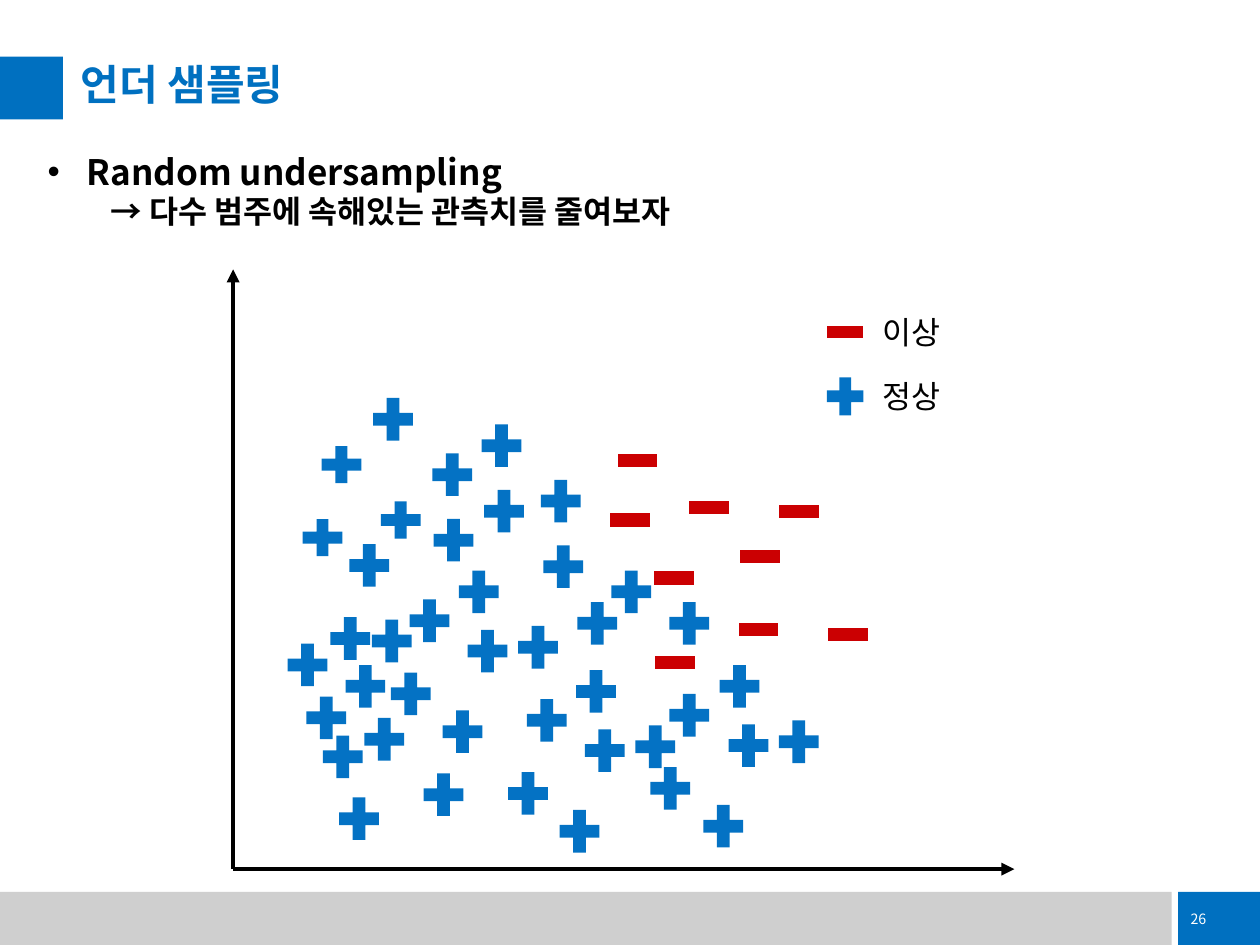
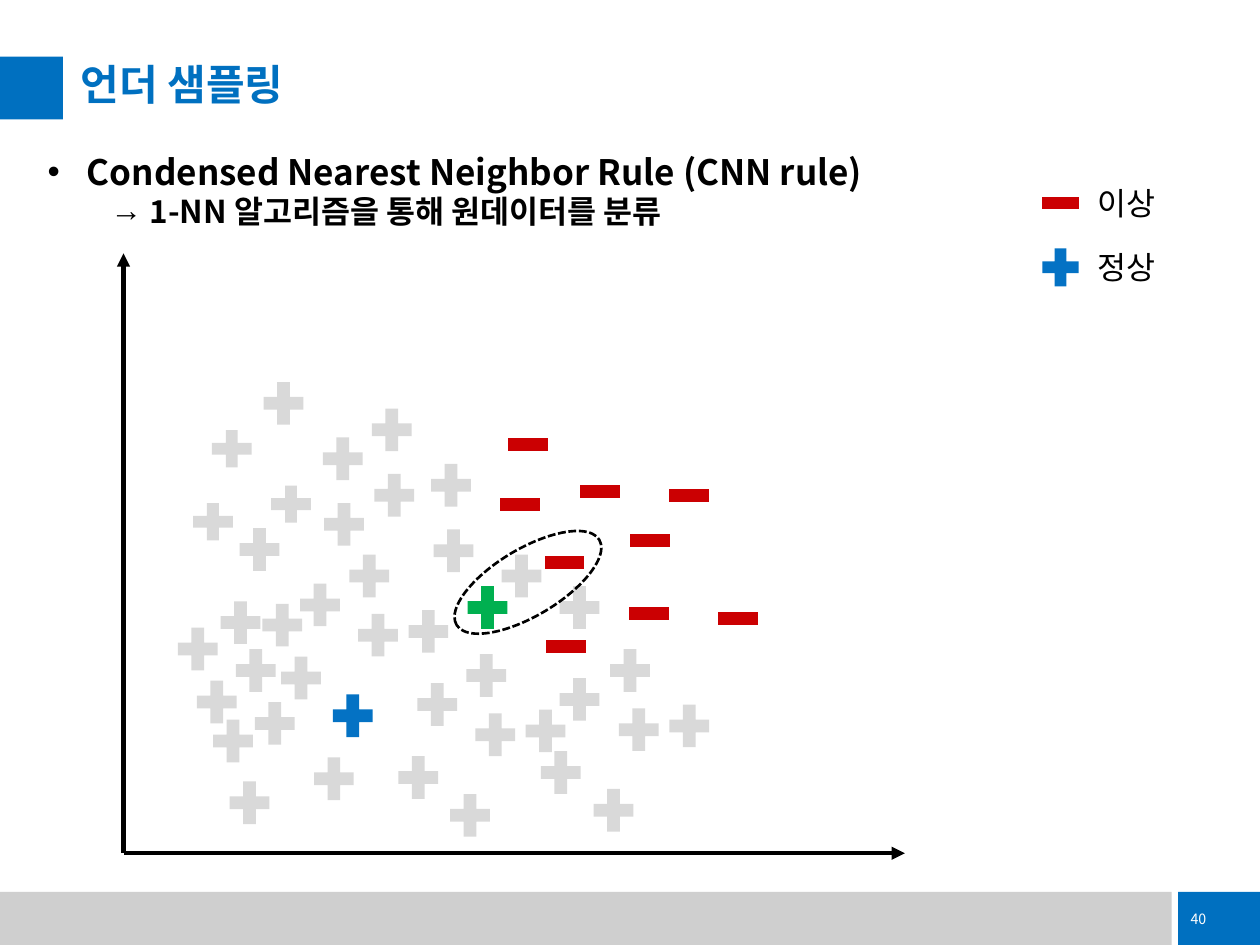
"""Build two slides that explain undersampling with a scatter of two classes."""
import dataclasses

import lxml.etree
import pptx
import pptx.dml.color
import pptx.enum.dml
import pptx.enum.shapes
import pptx.enum.text
import pptx.oxml.ns
import pptx.util

Cm = pptx.util.Cm
Shape = pptx.enum.shapes.MSO_SHAPE
Anchor = pptx.enum.text.MSO_ANCHOR
qn = pptx.oxml.ns.qn


@dataclasses.dataclass(frozen=True)
class Theme:
    """Colours, font and type sizes of the deck."""
    font: str = "Noto Sans CJK KR"
    accent: str = "0070C0"
    band: str = "CFCFCF"
    white: str = "FFFFFF"
    ink: str = "000000"
    normal: str = "0472C4"
    abnormal: str = "CB0002"
    faded: str = "D9D9D9"
    chosen: str = "00B050"
    title_size: float = 24
    heading_size: float = 20
    body_size: float = 18
    page_size: float = 8.1


THEME = Theme()
PLOT_UNIT = 2.54
AXIS_HEIGHT, AXIS_WIDTH = 12.09, 15.75
MARKER_WIDTH, PLUS_HEIGHT, SHORT_PLUS_HEIGHT, MINUS_HEIGHT = 1.09, 1.17, 1.02, 1.12

START_POINT = (1.82, 1.09)
BORDER_POINT = (2.89, 1.95)
NORMAL_POINTS = [
    (1.27, 3.57), (1.74, 3.13), (2.13, 3.36), (2.60, 2.92), (1.08, 2.41), (1.75, 2.61),
    (1.56, 1.97), (2.15, 2.84), (1.95, 2.20), (2.62, 2.40), (2.42, 1.76), (2.02, 1.73),
    START_POINT, (0.93, 1.83), (0.74, 1.20), (1.41, 1.39), (2.49, 1.18), (2.88, 1.41),
    (3.35, 0.97), (2.95, 0.94), (2.75, 0.30), (2.34, 0.60), (1.20, 1.03), (1.00, 0.40),
    (1.67, 0.59), (0.87, 0.89), (0.59, 1.62), (1.26, 1.81), (1.05, 1.45), (3.62, 1.22),
    (4.02, 1.45), (4.49, 1.01), (4.09, 0.98), (3.89, 0.34), (3.47, 0.64), BORDER_POINT,
    (3.16, 2.20), (3.62, 1.95),
]
SHORT_NORMAL_POINTS = [(0.86, 3.21), (1.33, 2.77), (0.71, 2.63)]
ABNORMAL_POINTS = [
    (3.15, 2.77), (4.18, 2.48), (3.50, 2.31), (3.51, 1.64), (4.88, 1.86),
    (4.17, 1.90), (4.49, 2.84), (3.78, 2.87), (3.21, 3.24),
]


def rgb(code):
    """Return the colour object for a hex code."""
    return pptx.dml.color.RGBColor.from_string(code)


def style_runs(paragraph, size, color, bold=False):
    """Format every run of a paragraph for Latin and Korean text."""
    for run in paragraph.runs:
        run.font.name = THEME.font
        run.font.size = pptx.util.Pt(size)
        run.font.bold = bold
        run.font.color.rgb = rgb(color)
        east_asian = lxml.etree.SubElement(run.font._element, qn("a:ea"))
        east_asian.set("typeface", THEME.font)


def add_solid(slide, kind, left, top, width, height, color):
    """Add a filled preset shape without outline."""
    solid = slide.shapes.add_shape(kind, Cm(left), Cm(top), Cm(width), Cm(height))
    solid.shadow.inherit = False
    solid.fill.solid()
    solid.fill.fore_color.rgb = rgb(color)
    solid.line.fill.background()
    return solid


def add_frame(slide, title, page):
    """Add the title, its accent square, the bottom band and the page badge."""
    add_solid(slide, Shape.RECTANGLE, 0, 17.98, 23.62, 1.07, THEME.band)
    badge = add_solid(slide, Shape.RECTANGLE, 23.75, 17.98, 1.65, 1.07, THEME.accent)
    badge.text_frame.text = str(page)
    badge.text_frame.vertical_anchor = Anchor.MIDDLE
    number = badge.text_frame.paragraphs[0]
    number.alignment = pptx.enum.text.PP_ALIGN.LEFT
    style_runs(number, THEME.page_size, THEME.white)
    add_solid(slide, Shape.RECTANGLE, 0, 1.14, 1.27, 1.27, THEME.accent)

    heading = slide.shapes.title
    heading.left, heading.top, heading.width, heading.height = map(Cm, (1.63, 1.3, 22.89, 0.97))
    frame = heading.text_frame
    frame.text = title
    frame.margin_left = frame.margin_right = frame.margin_top = frame.margin_bottom = 0
    frame.vertical_anchor = Anchor.TOP
    frame.auto_size = pptx.enum.text.MSO_AUTO_SIZE.NONE
    line = frame.paragraphs[0]
    line.alignment = pptx.enum.text.PP_ALIGN.LEFT
    line.line_spacing = 0.9
    style_runs(line, THEME.title_size, THEME.accent, bold=True)


def add_text(slide, left, top, width, height):
    """Add an empty wrapping text box and return its frame."""
    frame = slide.shapes.add_textbox(Cm(left), Cm(top), Cm(width), Cm(height)).text_frame
    frame.word_wrap = True
    return frame


def indent(paragraph, margin, hanging=0, bullet=None):
    """Set the left margin, the hanging indent and an optional bullet."""
    properties = paragraph._p.get_or_add_pPr()
    properties.set("marL", str(Cm(margin)))
    properties.set("indent", str(-Cm(hanging)))
    if bullet:
        lxml.etree.SubElement(properties, qn("a:buFont")).set("typeface", "Arial")
        lxml.etree.SubElement(properties, qn("a:buChar")).set("char", bullet)


def add_method(slide, name, summary, width, arrow_bullet=None):
    """Add the method name with its one-line summary below."""
    frame = add_text(slide, 0.71, 2.9, width, 1.88)
    frame.text = name
    method = frame.paragraphs[0]
    indent(method, 0.79, 0.79, "•")
    style_runs(method, THEME.heading_size, THEME.ink, bold=True)
    explanation = frame.add_paragraph()
    explanation.text = summary
    explanation.level = 1
    if arrow_bullet:
        indent(explanation, 2.06, 0.79, arrow_bullet)
    else:
        indent(explanation, 1.27)
    style_runs(explanation, THEME.body_size, THEME.ink, bold=True)


def add_axis(slide, origin, end):
    """Add an axis with an arrowhead at its end."""
    axis = slide.shapes.add_connector(
        pptx.enum.shapes.MSO_CONNECTOR.STRAIGHT, *map(Cm, origin + end))
    axis.line.color.rgb = rgb(THEME.ink)
    axis.line.width = pptx.util.Pt(2.5)
    arrowhead = lxml.etree.SubElement(axis.line._get_or_add_ln(), qn("a:tailEnd"))
    arrowhead.set("type", "triangle")
    lxml.etree.SubElement(axis._element.spPr, qn("a:effectLst"))


def corner(origin, point, width, height):
    """Return the top left corner of an item centred on a plot point."""
    return (origin[0] + point[0] * PLOT_UNIT - width / 2,
            origin[1] - point[1] * PLOT_UNIT - height / 2)


def add_scatter(slide, origin, normal_color, highlights):
    """Add both axes and the markers of the two classes."""
    add_axis(slide, origin, (origin[0], origin[1] - AXIS_HEIGHT))
    add_axis(slide, origin, (origin[0] + AXIS_WIDTH, origin[1]))
    groups = [
        (NORMAL_POINTS, Shape.MATH_PLUS, PLUS_HEIGHT, normal_color),
        (SHORT_NORMAL_POINTS, Shape.MATH_PLUS, SHORT_PLUS_HEIGHT, normal_color),
        (ABNORMAL_POINTS, Shape.MATH_MINUS, MINUS_HEIGHT, THEME.abnormal),
    ]
    for points, sign, height, color in groups:
        for point in points:
            left, top = corner(origin, point, MARKER_WIDTH, height)
            add_solid(slide, sign, left, top, MARKER_WIDTH, height,
                      highlights.get(point, color))


def add_legend(slide, left, top):
    """Add the legend of the two classes."""
    entries = [("이상", Shape.MATH_MINUS, THEME.abnormal),
               ("정상", Shape.MATH_PLUS, THEME.normal)]
    for row, (label, sign, color) in enumerate(entries):
        row_top = top + row * 1.29
        add_solid(slide, sign, left, row_top, 1, 1.04, color)
        frame = add_text(slide, left + 1, row_top, 2.92, 1.02)
        frame.text = label
        style_runs(frame.paragraphs[0], THEME.body_size, THEME.ink)


def add_neighbor_ring(slide, origin, center):
    """Add the dashed ellipse around a pair of nearest neighbours."""
    width, height = 3.35, 1.35
    left, top = corner(origin, center, width, height)
    ring = add_solid(slide, Shape.OVAL, left, top, width, height, THEME.white)
    ring.fill.background()
    ring.line.color.rgb = rgb(THEME.ink)
    ring.line.width = pptx.util.Pt(1.5)
    ring.line.dash_style = pptx.enum.dml.MSO_LINE.SQUARE_DOT
    ring.rotation = 329.2


def main():
    """Build and save both slides."""
    deck = pptx.Presentation()
    deck.slide_width, deck.slide_height = Cm(25.4), Cm(19.05)
    title_only = deck.slide_layouts[5]

    random_slide = deck.slides.add_slide(title_only)
    add_frame(random_slide, "언더 샘플링", 26)
    add_method(random_slide, "Random undersampling",
               "→ 다수 범주에 속해있는 관측치를 줄여보자", 14.43)
    add_scatter(random_slide, (4.7, 17.52), THEME.normal, {})
    add_legend(random_slide, 16.54, 6.18)

    condensed_slide = deck.slides.add_slide(title_only)
    condensed_origin = (2.49, 17.2)
    add_frame(condensed_slide, "언더 샘플링", 40)
    add_method(condensed_slide, "Condensed Nearest Neighbor Rule (CNN rule)",
               "1-NN 알고리즘을 통해 원데이터를 분류", 24, arrow_bullet="→")
    add_scatter(condensed_slide, condensed_origin, THEME.faded,
                {START_POINT: THEME.normal, BORDER_POINT: THEME.chosen})
    add_legend(condensed_slide, 20.88, 3.58)
    add_neighbor_ring(condensed_slide, condensed_origin, (3.21, 2.15))

    deck.save("out.pptx")


if __name__ == "__main__":
    main()
